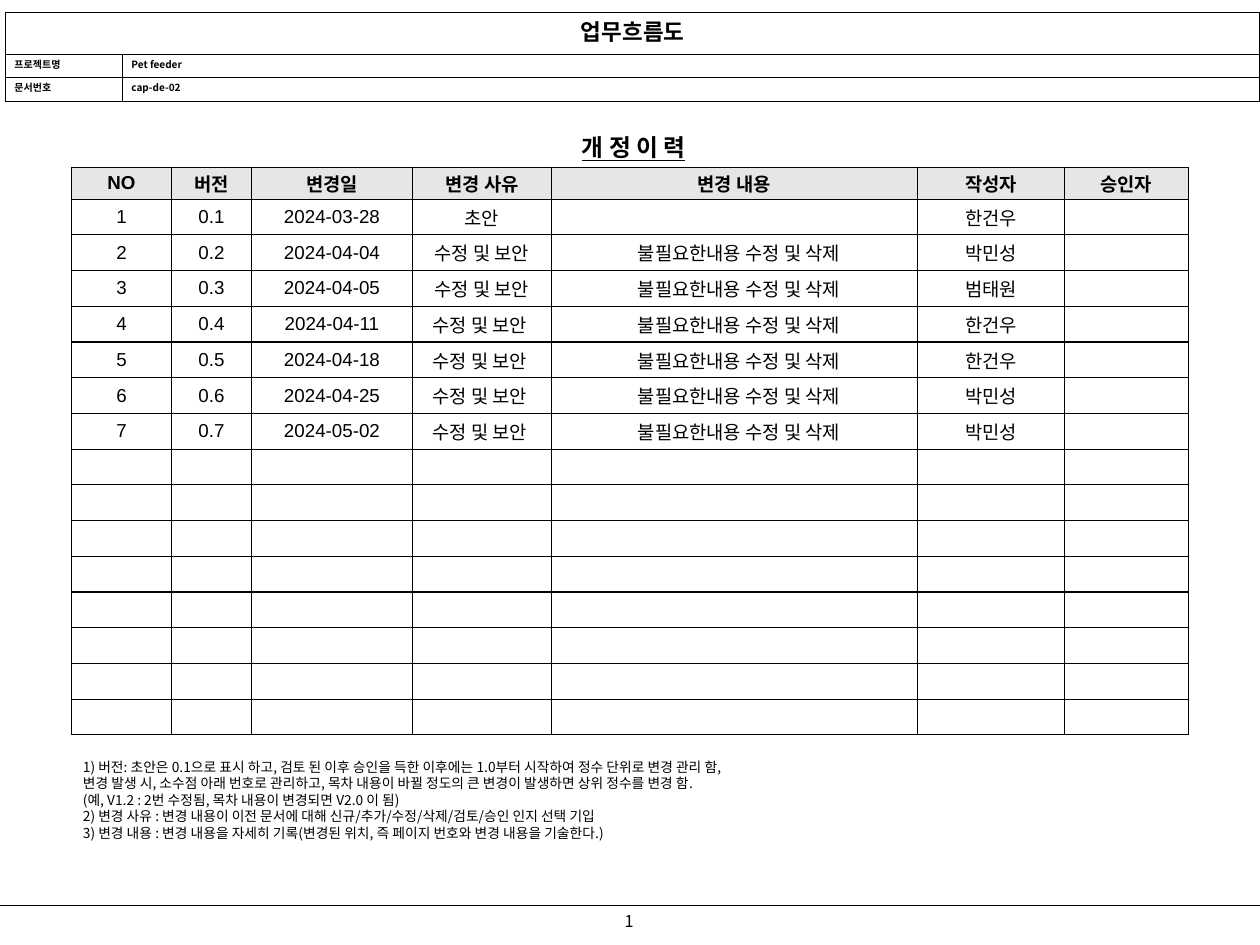
from dataclasses import dataclass
from typing import NamedTuple

from lxml import etree
from pptx import Presentation
from pptx.dml.color import RGBColor
from pptx.enum.shapes import MSO_CONNECTOR
from pptx.enum.text import MSO_ANCHOR, PP_ALIGN
from pptx.oxml.ns import qn
from pptx.util import Pt

CENTER, LEFT = PP_ALIGN.CENTER, PP_ALIGN.LEFT
TOP, MIDDLE = MSO_ANCHOR.TOP, MSO_ANCHOR.MIDDLE
STRAIGHT = MSO_CONNECTOR.STRAIGHT

COLORS = {"ink": "000000", "paper": "FFFFFF", "heading": "E6E6E6"}
KOREAN, LATIN = "Noto Sans CJK KR", "Arial"
SLIDE_WIDTH, SLIDE_HEIGHT = 1008, 756
FOOTER_TOP = 724.3
BORDER_WIDTH = 1


class Revision(NamedTuple):
    number: str
    version: str
    date: str
    reason: str = ""
    content: str = ""
    author: str = ""
    approver: str = ""


@dataclass
class TextStyle:
    font: dict
    latin: str = KOREAN
    align: PP_ALIGN = LEFT
    line_spacing: float | None = None
    hanging: float = 0


@dataclass
class Label:
    left: float
    top: float
    width: float
    height: float
    lines: list[str]
    style: TextStyle
    anchor: MSO_ANCHOR = TOP
    wrap: bool = True


@dataclass
class Grid:
    left: float
    top: float
    columns: list[float]
    rows: list[float]


EDIT, EDIT_SPACED = "수정 및 보안", "수정 및 보안 "
CLEANUP = "불필요한내용 수정 및 삭제"
HEADINGS = Revision("NO", "버전", "변경일", "변경 사유", "변경 내용", "작성자", "승인자")
REVISIONS = [
    Revision("1", "0.1", "2024-03-28", "초안", author="한건우"),
    Revision("2", "0.2", "2024-04-04", EDIT, CLEANUP, "박민성"),
    Revision("3", "0.3", "2024-04-05", EDIT, CLEANUP, "범태원"),
    Revision("4", "0.4", "2024-04-11", EDIT_SPACED, CLEANUP, "한건우"),
    Revision("5", "0.5", "2024-04-18", EDIT_SPACED, CLEANUP, "한건우"),
    Revision("6", "0.6", "2024-04-25", EDIT_SPACED, CLEANUP, "박민성"),
    Revision("7", "0.7", "2024-05-02", EDIT_SPACED, CLEANUP, "박민성"),
]
REVISION_ROWS = 15
REVISION_GRID = Grid(57.2, 133.9, [80, 64, 128.8, 111.2, 292.8, 117.6, 99.2],
                     [25.4] + [28.6] * REVISION_ROWS)
DOCUMENT_GRID = Grid(4.3, 10.1, [93.6, 910.1], [33.6, 18.7, 18.7])
DOCUMENT_FIELDS = [("프로젝트명", "Pet feeder"), ("문서번호", "cap-de-02")]
NOTES = [
    "1) 버전: 초안은 0.1으로 표시 하고, 검토 된 이후 승인을 득한 이후에는 1.0부터 시작하여 정수 단위로 변경 관리 함,",
    "변경 발생 시, 소수점 아래 번호로 관리하고, 목차 내용이 바뀔 정도의 큰 변경이 발생하면 상위 정수를 변경 함.",
    "(예, V1.2 : 2번 수정됨, 목차 내용이 변경되면 V2.0 이 됨)",
    "2) 변경 사유 : 변경 내용이 이전 문서에 대해 신규/추가/수정/삭제/검토/승인 인지 선택 기입",
    "3) 변경 내용 : 변경 내용을 자세히 기록(변경된 위치, 즉 페이지 번호와 변경 내용을 기술한다.)",
]
LABELS = [
    Label(483.8, FOOTER_TOP, 38.9, 25.2, ["1"],
          TextStyle({"size": Pt(13)}, align=CENTER, line_spacing=15.6), wrap=False),
    Label(419, 100.8, 175.7, 33.8, ["개 정 이 력"],
          TextStyle({"size": Pt(19), "bold": True, "underline": True}, align=CENTER), MIDDLE),
    Label(56.9, 601.9, 894.2, 76.3, NOTES, TextStyle({"size": Pt(11)}, line_spacing=13.2)),
]


def apply(target, values: dict) -> None:
    for name, value in values.items():
        setattr(target, name, value)


def write_lines(frame, lines: list[str], style: TextStyle) -> None:
    for index, line in enumerate(lines):
        paragraph = frame.paragraphs[0] if index == 0 else frame.add_paragraph()
        paragraph.alignment = style.align
        if style.line_spacing:
            paragraph.line_spacing = Pt(style.line_spacing)
        if style.hanging:
            properties = paragraph._p.get_or_add_pPr()
            properties.set("marL", str(Pt(44)))
            properties.set("indent", str(Pt(-style.hanging)))
        run = paragraph.add_run()
        run.text = line
        apply(run.font, {"name": style.latin, **style.font})
        run.font.color.rgb = RGBColor.from_string(COLORS["ink"])
        east_asian = etree.Element(qn("a:ea"), typeface=KOREAN)
        run.font._element.find(qn("a:latin")).addnext(east_asian)


def add_label(slide, label: Label) -> None:
    box = slide.shapes.add_textbox(Pt(label.left), Pt(label.top), Pt(label.width), Pt(label.height))
    apply(box.text_frame, {
        "margin_left": Pt(9.4), "margin_right": Pt(9.4),
        "margin_top": Pt(5), "margin_bottom": Pt(5),
        "vertical_anchor": label.anchor, "word_wrap": label.wrap,
    })
    write_lines(box.text_frame, label.lines, label.style)


def add_grid(slide, grid: Grid):
    table = slide.shapes.add_table(
        len(grid.rows), len(grid.columns), Pt(grid.left), Pt(grid.top),
        Pt(sum(grid.columns)), Pt(sum(grid.rows))).table
    apply(table, {"first_row": False, "horz_banding": False})
    for column, width in zip(table.columns, grid.columns):
        column.width = Pt(width)
    for row, height in zip(table.rows, grid.rows):
        row.height = Pt(height)
    return table


def format_cell(cell, margins: tuple[float, float], anchor: MSO_ANCHOR, fill: str) -> None:
    side, edge = map(Pt, margins)
    apply(cell, {"margin_left": side, "margin_right": side, "margin_top": edge,
                 "margin_bottom": edge, "vertical_anchor": anchor})
    properties = cell._tc.get_or_add_tcPr()
    for border in ("a:lnL", "a:lnR", "a:lnT", "a:lnB"):
        line = etree.SubElement(properties, qn(border), w=str(Pt(BORDER_WIDTH)))
        solid = etree.SubElement(line, qn("a:solidFill"))
        etree.SubElement(solid, qn("a:srgbClr"), val=COLORS["ink"])
    cell.fill.solid()
    cell.fill.fore_color.rgb = RGBColor.from_string(COLORS[fill])


def add_revision_table(slide) -> None:
    table = add_grid(slide, REVISION_GRID)
    blanks = [Revision("", "", "")] * (REVISION_ROWS - len(REVISIONS))
    for row, revision in enumerate([HEADINGS, *REVISIONS, *blanks]):
        heading = row == 0
        for column, (field, text) in enumerate(revision._asdict().items()):
            cell = table.cell(row, column)
            format_cell(cell, (6.5, 0), MIDDLE, "heading" if heading else "paper")
            if text:
                hanging = 36.7 if field == "content" and not heading else 47.5
                style = TextStyle({"size": Pt(15), "bold": heading}, LATIN, CENTER, hanging=hanging)
                write_lines(cell.text_frame, [text], style)


def add_document_table(slide) -> None:
    table = add_grid(slide, DOCUMENT_GRID)
    for cell in table.iter_cells():
        format_cell(cell, (7.2, 1.4), TOP, "paper")
    title = table.cell(0, 0)
    title.merge(table.cell(0, 1))
    write_lines(title.text_frame, ["업무흐름도"],
                TextStyle({"size": Pt(18), "bold": True}, align=CENTER))
    for row, field in enumerate(DOCUMENT_FIELDS, start=1):
        for column, text in enumerate(field):
            write_lines(table.cell(row, column).text_frame, [text],
                        TextStyle({"size": Pt(8), "bold": True}))


def add_footer_rule(slide) -> None:
    rule = slide.shapes.add_connector(
        STRAIGHT, Pt(0), Pt(FOOTER_TOP), Pt(SLIDE_WIDTH), Pt(FOOTER_TOP))
    rule.line.width = Pt(BORDER_WIDTH)
    rule.line.color.rgb = RGBColor.from_string(COLORS["ink"])
    etree.SubElement(rule._element.spPr, qn("a:effectLst"))


def main() -> None:
    presentation = Presentation()
    apply(presentation, {"slide_width": Pt(SLIDE_WIDTH), "slide_height": Pt(SLIDE_HEIGHT)})
    slide = presentation.slides.add_slide(presentation.slide_layouts[6])
    add_footer_rule(slide)
    for label in LABELS:
        add_label(slide, label)
    add_revision_table(slide)
    add_document_table(slide)
    presentation.save("out.pptx")


if __name__ == "__main__":
    main()
